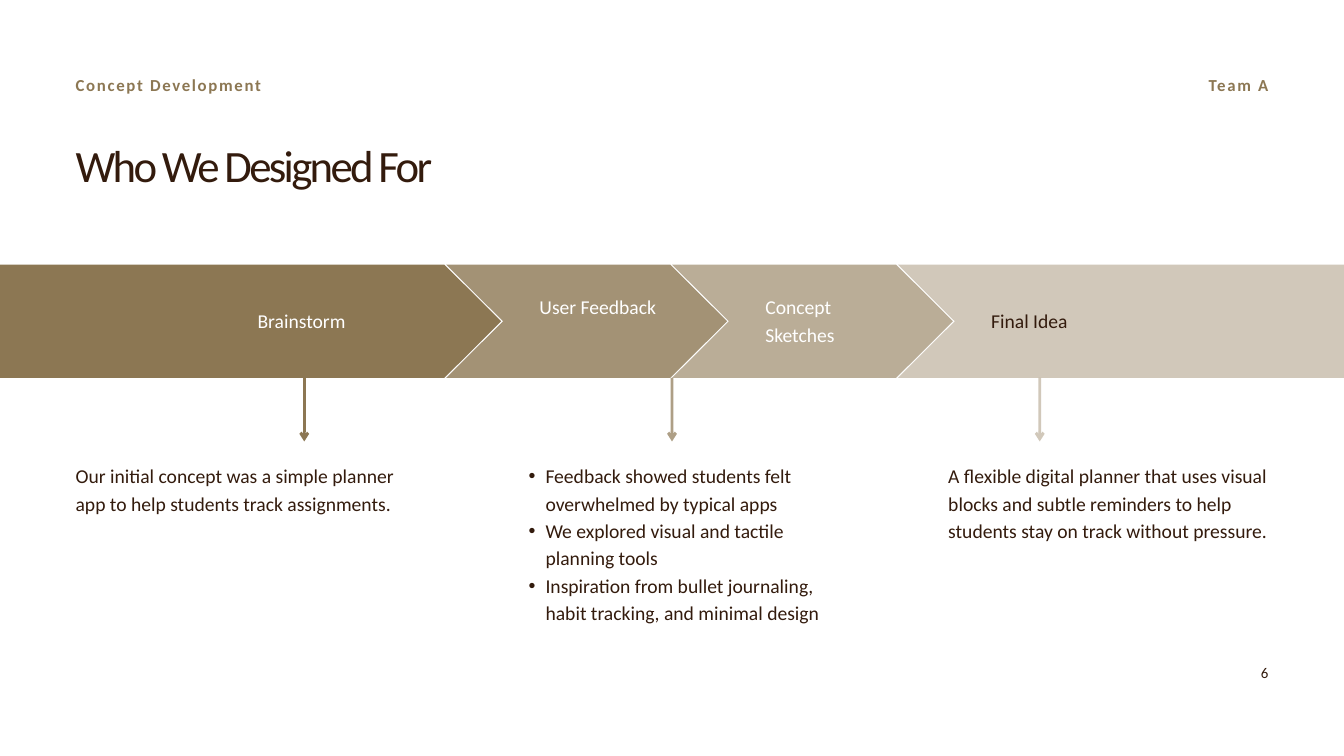
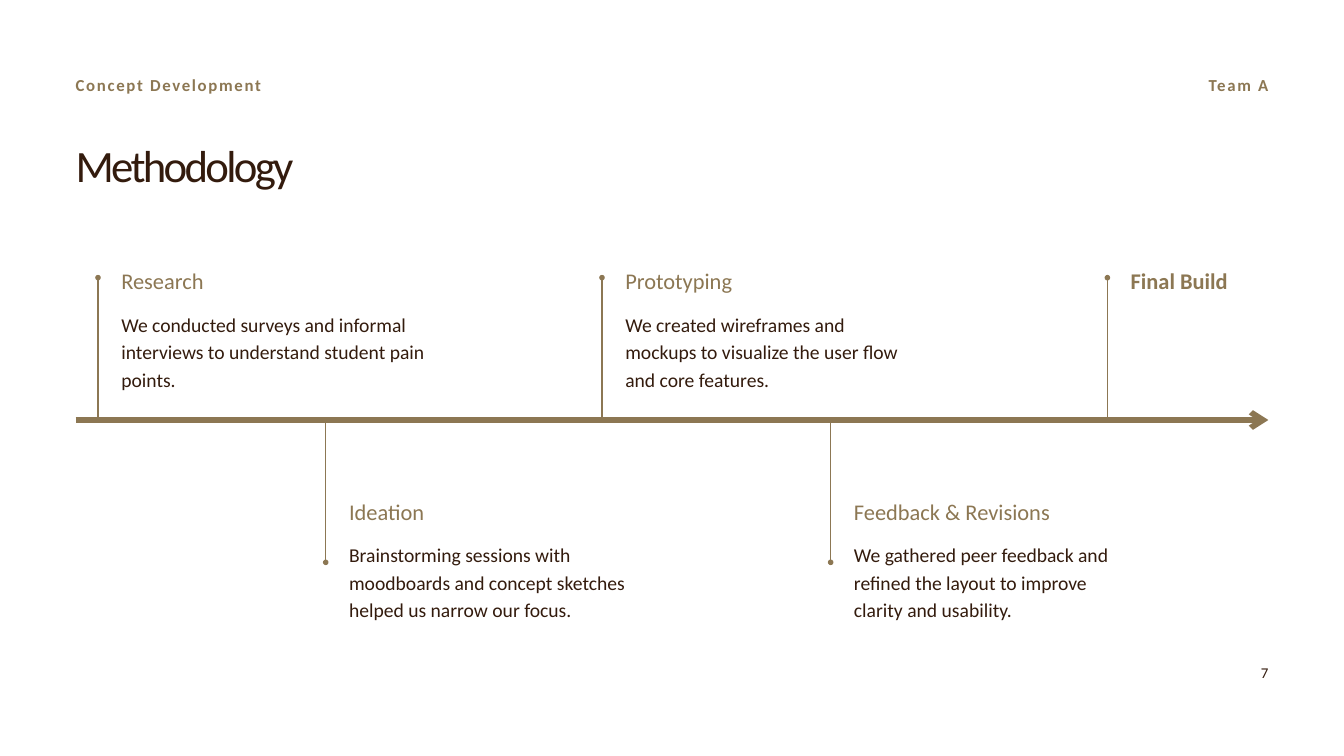
import pptx
import pptx.dml.color
import pptx.enum.shapes
import pptx.enum.text
import pptx.oxml.ns
import pptx.oxml.xmlchemy
import pptx.util

Pt = pptx.util.Pt
qn = pptx.oxml.ns.qn
Align = pptx.enum.text.PP_ALIGN

TAN, DARK, WHITE = "8C7753", "331B0D", "FFFFFF"
LEFT, RIGHT = 81, 1359


def hue(code):
    return pptx.dml.color.RGBColor.from_string(code)


class Deck:
    """Hold the shared style and the slide being built."""

    font = "Calibri"

    def __init__(self):
        self.file = pptx.Presentation()
        self.file.slide_width, self.file.slide_height = Pt(1440), Pt(810)
        self.slide = None

    def page(self, layout, title, number):
        self.slide = self.file.slides.add_slide(self.file.slide_layouts[layout])
        self.fill_box(self.slide.shapes.title, (LEFT, 157, 639, 50), title,
                      size=48, lead=1, track=-290)
        head = dict(size=18, color=TAN, bold=True, lead=1, track=180)
        self.text((LEFT, 83.5, 578, 19.5), "Concept Development", align=Align.JUSTIFY, **head)
        self.text((RIGHT - 224, 83.5, 224, 19.5), "Team A", align=Align.RIGHT, **head)
        self.text((RIGHT - 359, 708, 359, 22), number, size=16, align=Align.RIGHT)

    def text(self, place, words, **style):
        box = self.slide.shapes.add_textbox(0, 0, 0, 0)
        self.fill_box(box, place, words, **style)

    def list(self, place, items):
        self.fill_box(self.slide.placeholders[1], place, "\n".join(items), bullet=True)

    def fill_box(self, box, place, words, size=21, color=DARK, bold=False,
                 lead=1.4, track=0, align=Align.LEFT, bullet=False):
        box.left, box.top, box.width, box.height = map(Pt, place)
        frame = box.text_frame
        frame.margin_left = frame.margin_right = frame.margin_top = frame.margin_bottom = 0
        frame.word_wrap = True
        frame.auto_size = pptx.enum.text.MSO_AUTO_SIZE.NONE
        frame.vertical_anchor = pptx.enum.text.MSO_ANCHOR.TOP
        frame.text = words
        for para in frame.paragraphs:
            if bullet:
                props = para._p.get_or_add_pPr()
                props.set("marL", str(Pt(36)))
                props.set("indent", str(Pt(-18)))
                props.makeelement(qn("a:buChar"))
                mark = props.makeelement(qn("a:buChar"), {"char": "•"})
                props.append(mark)
            para.alignment = align
            para.line_spacing = Pt(size * lead)
            para.space_before = Pt(0)
            for run in para.runs:
                run.font.name, run.font.size, run.font.bold = self.font, Pt(size), bold
                run.font.color.rgb = hue(color)
                if track:
                    run._r.get_or_add_rPr().set("spc", str(track))

    def fade(self, shape, share):
        for color in shape._element.spPr.iter(qn("a:srgbClr")):
            alpha = color.makeelement(qn("a:alpha"), {"val": str(share * 1000)})
            color.append(alpha)

    def band(self, points, share):
        first, *rest = [(Pt(x), Pt(y)) for x, y in points]
        pen = self.slide.shapes.build_freeform(*first, scale=1)
        pen.add_line_segments(rest, close=True)
        shape = pen.convert_to_shape()
        shape.shadow.inherit = False
        shape.fill.solid()
        shape.fill.fore_color.rgb = hue(TAN)
        shape.line.fill.background()
        self.fade(shape, share)

    def line(self, start, end, width, share=100, head=None, tail=None):
        kind = pptx.enum.shapes.MSO_CONNECTOR.STRAIGHT
        wire = self.slide.shapes.add_connector(kind, *map(Pt, start + end))
        wire.line.width = Pt(width)
        wire.line.color.rgb = hue(TAN)
        if share < 100:
            self.fade(wire, share)
        edge = wire.line._get_or_add_ln()
        for tag, tip in (("a:headEnd", head), ("a:tailEnd", tail)):
            if tip:
                edge.append(edge.makeelement(qn(tag), {"type": tip}))
        props = wire._element.spPr
        props.append(props.makeelement(qn("a:effectLst")))


def concept(deck):
    deck.page(1, "Who We Designed For", "6")
    top, base, notch, step, gap = 283.5, 405, 61, 242, 2
    mid = (top + base) / 2
    starts = [478 + step * i for i in range(3)]

    for i, share in enumerate((100, 80, 60, 40)):
        if i:
            x = starts[i - 1]
            points = [(x, base), (x + notch, mid), (x, top)]
        else:
            points = [(0, base), (0, top)]
        if i < 3:
            x = starts[i] - gap
            points += [(x, top), (x + notch, mid), (x, base)]
        else:
            points += [(1440, top), (1440, base)]
        deck.band(points, share)

    labels = [("Brainstorm", 276, 221, 327, WHITE),
              ("User Feedback", starts[0] + 100, 144, 312, WHITE),
              ("Concept Sketches", starts[1] + 100, 144, 312, WHITE),
              ("Final Idea", starts[2] + 100, 144, 327, DARK)]
    for words, x, width, y, color in labels:
        deck.text((x, y, width, 58 if y == 312 else 29), words, color=color)

    notes = ["Our initial concept was a simple planner app to help students track assignments.",
             ["Feedback showed students felt overwhelmed by typical apps",
              "We explored visual and tactile planning tools",
              "Inspiration from bullet journaling, habit tracking, and minimal design"],
             "A flexible digital planner that uses visual blocks and subtle reminders "
             "to help students stay on track without pressure."]
    for i, (note, share) in enumerate(zip(notes, (100, 70, 40))):
        put = deck.list if isinstance(note, list) else deck.text
        put((LEFT + 467.5 * i, 493, 343, 233 if i == 1 else 117), note)
        x = 326 + 394 * i
        deck.line((x, base), (x, 473), 3, share, tail="arrow")


def method(deck):
    deck.page(5, "Methodology", "7")
    axis, reach, inset = 450, 152.5, 25
    deck.line((LEFT, axis), (RIGHT, axis), 6, tail="arrow")
    stages = [
        (105, "Research", 234, 354,
         "We conducted surveys and informal interviews to understand student pain points."),
        (349, "Ideation", 234, 297,
         "Brainstorming sessions with moodboards and concept sketches helped us narrow our focus."),
        (645, "Prototyping", 234, 314,
         "We created wireframes and mockups to visualize the user flow and core features."),
        (890, "Feedback & Revisions", 297, 297,
         "We gathered peer feedback and refined the layout to improve clarity and usability."),
        (1186.5, "Final Build", 132, 0, ""),
    ]
    for i, (x, name, wide, span, note) in enumerate(stages):
        below = i % 2
        tip = axis + reach if below else axis - reach
        y = 528.5 if below else 281.5
        deck.line((x, tip), (x, axis), 1.5, head="oval")
        deck.text((x + inset, y, wide, 32), name, size=24, color=TAN, bold=not note)
        if note:
            deck.text((x + inset, y + 49.5, span, 88), note)


def main():
    deck = Deck()
    concept(deck)
    method(deck)
    deck.file.save("out.pptx")


if __name__ == "__main__":
    main()
